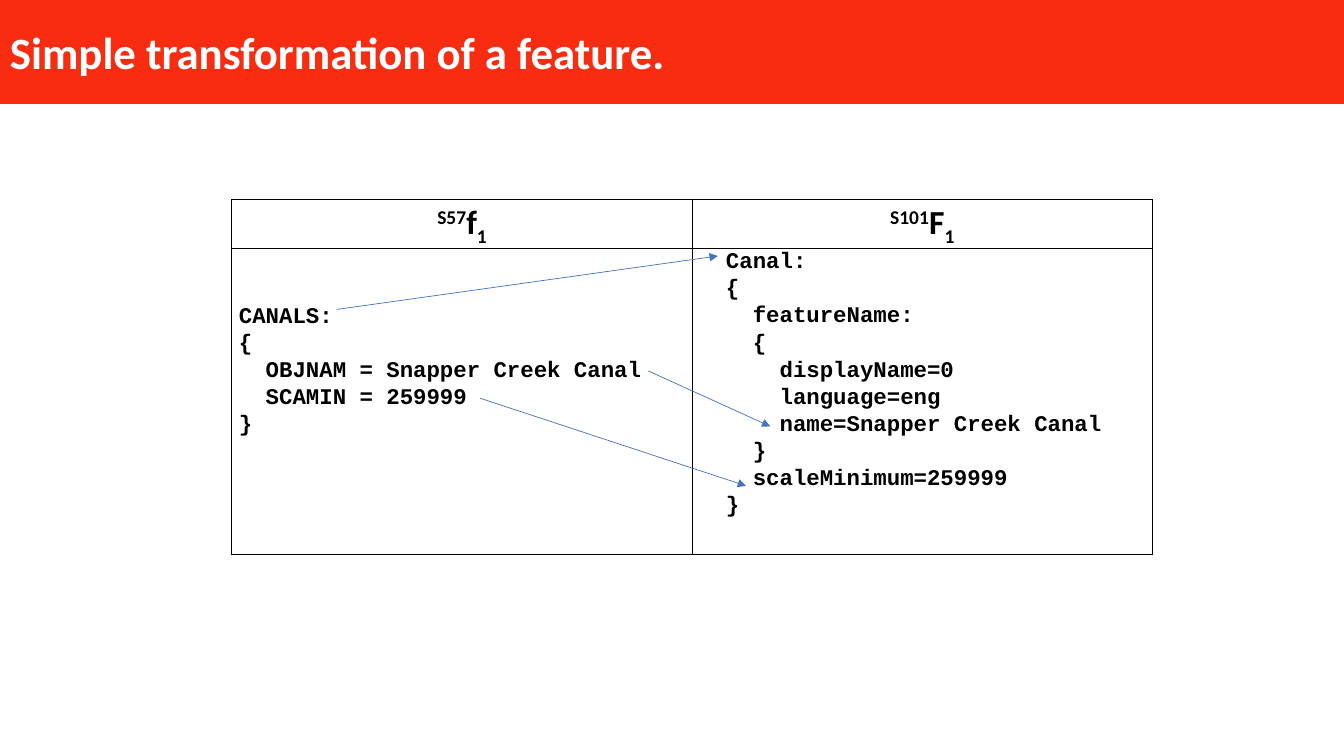
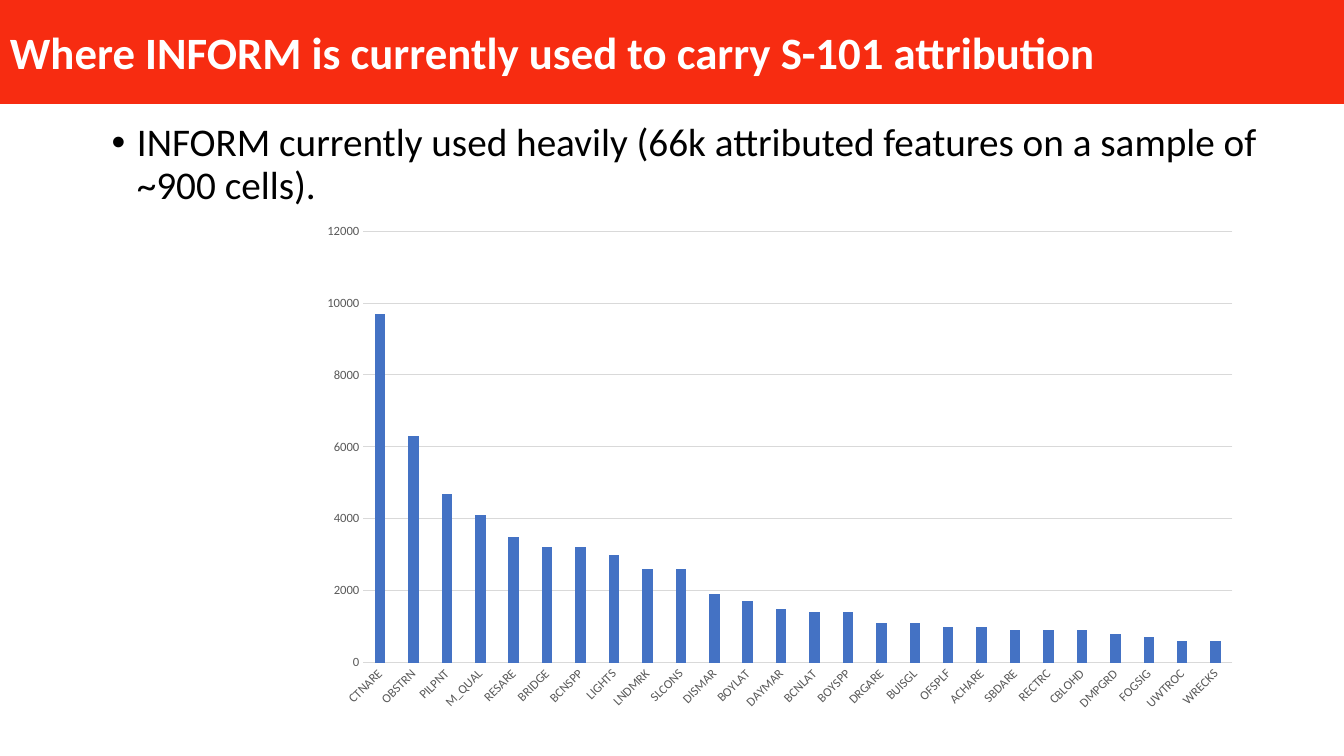
from pptx import Presentation
from pptx.chart.data import CategoryChartData
from pptx.dml.color import RGBColor
from pptx.enum.chart import XL_CHART_TYPE as ChartType, XL_TICK_MARK as TickMark
from pptx.enum.shapes import MSO_CONNECTOR as Connector, MSO_SHAPE as Shape
from pptx.enum.text import MSO_ANCHOR as Anchor, PP_ALIGN as Align
from pptx.oxml.ns import qn
from pptx.util import Inches, Pt
from lxml.etree import SubElement

RED, WHITE, BLACK = "F72C11", "FFFFFF", "000000"
BLUE, GREY, GRID = "4472C4", "595959", "D9D9D9"
BODY_FONT, CODE_FONT = "Calibri", "Courier New"
SLIDE_WIDTH, SLIDE_HEIGHT, BAND_HEIGHT = 13.33, 7.5, 1.02
CODE_LINE = 0.27

S57_CODE = """CANALS:
{
  OBJNAM = Snapper Creek Canal
  SCAMIN = 259999
}"""
S101_CODE = """  Canal:
  {
    featureName:
    {
      displayName=0
      language=eng
      name=Snapper Creek Canal
    }
    scaleMinimum=259999
  }"""
MAPPINGS = [
    ((1.04, 1.09), (4.82, 0.56)),
    ((4.13, 1.7), (5.34, 2.25)),
    ((2.46, 1.97), (5.1, 2.84)),
]
INFORM_COUNTS = {
    "CTNARE": 9700, "OBSTRN": 6300, "PILPNT": 4700, "M_QUAL": 4100,
    "RESARE": 3500, "BRIDGE": 3200, "BCNSPP": 3200, "LIGHTS": 3000,
    "LNDMRK": 2600, "SLCONS": 2600, "DISMAR": 1900, "BOYLAT": 1700,
    "DAYMAR": 1500, "BCNLAT": 1400, "BOYSPP": 1400, "DRGARE": 1100,
    "BUISGL": 1100, "OFSPLF": 1000, "ACHARE": 1000, "SBDARE": 900,
    "RECTRC": 900, "CBLOHD": 900, "DMPGRD": 800, "FOGSIG": 700,
    "UWTROC": 600, "WRECKS": 600,
}


def rgb(color):
    return RGBColor.from_string(color)


def style_font(font, size, color=BLACK, bold=False, name=BODY_FONT):
    font.name, font.size, font.bold = name, Pt(size), bold
    font.color.rgb = rgb(color)


def style_line(line, color, width):
    line.color.rgb = rgb(color)
    line.width = Pt(width)


def add_titled_slide(prs, title):
    slide = prs.slides.add_slide(prs.slide_layouts[6])
    band = slide.shapes.add_shape(Shape.FLOWCHART_PROCESS, 0, 0,
                                  Inches(SLIDE_WIDTH), Inches(BAND_HEIGHT))
    band.shadow.inherit = False
    band.fill.solid()
    band.fill.fore_color.rgb = rgb(RED)
    style_line(band.line, RED, 1)
    frame = band.text_frame
    frame.word_wrap = True
    frame.vertical_anchor = Anchor.MIDDLE
    frame.text = title
    heading = frame.paragraphs[0]
    heading.alignment = Align.LEFT
    style_font(heading.runs[0].font, 32, WHITE, True)
    return slide


def prepare_cell(cell, top=0):
    cell.margin_left = cell.margin_right = Inches(0.07)
    cell.margin_top, cell.margin_bottom = Inches(top), 0
    properties = cell._tc.get_or_add_tcPr()
    for side in ("a:lnL", "a:lnR", "a:lnT", "a:lnB"):
        border = SubElement(properties, qn(side), w=str(Pt(1)))
        fill = SubElement(border, qn("a:solidFill"))
        SubElement(fill, qn("a:srgbClr"), val=BLACK)
    cell.fill.background()


def write_symbol(cell, standard, letter):
    prepare_cell(cell)
    symbol = cell.text_frame.paragraphs[0]
    symbol.alignment = Align.CENTER
    symbol.line_spacing = 1.07
    for text, baseline in ((standard, 30000), (letter, 0), ("1", -25000)):
        run = symbol.add_run()
        run.text = text
        style_font(run.font, 24, bold=True)
        run.font._element.set("baseline", str(baseline))


def write_code(cell, code, skipped_lines=0):
    prepare_cell(cell, skipped_lines * CODE_LINE)
    cell.text_frame.text = code
    for line in cell.text_frame.paragraphs:
        line.line_spacing = 1.07
        style_font(line.runs[0].font, 16, bold=True, name=CODE_FONT)


def add_arrow(slide, start, end):
    arrow = slide.shapes.add_connector(
        Connector.STRAIGHT, *(Inches(value) for value in (*start, *end)))
    style_line(arrow.line, BLUE, 0.5)
    SubElement(arrow.line._get_or_add_ln(), qn("a:tailEnd"), type="triangle")
    SubElement(arrow._element.spPr, qn("a:effectLst"))


def add_feature_mapping(slide, left, top, width, height):
    header_height = 0.48
    table = slide.shapes.add_table(2, 2, Inches(left), Inches(top),
                                   Inches(width), Inches(height)).table
    table.first_row = table.horz_banding = False
    for column in table.columns:
        column.width = Inches(width / 2)
    table.rows[0].height = Inches(header_height)
    table.rows[1].height = Inches(height - header_height)
    write_symbol(table.cell(0, 0), "S57", "f")
    write_symbol(table.cell(0, 1), "S101", "F")
    write_code(table.cell(1, 0), S57_CODE, skipped_lines=2)
    write_code(table.cell(1, 1), S101_CODE)
    for ends in MAPPINGS:
        add_arrow(slide, *((left + x, top + y) for x, y in ends))


def add_bullet(slide, text, left, top, width, height):
    box = slide.shapes.add_textbox(Inches(left), Inches(top),
                                   Inches(width), Inches(height))
    frame = box.text_frame
    frame.word_wrap = True
    frame.text = text
    point = frame.paragraphs[0]
    point.line_spacing = 0.9
    properties = point._p.get_or_add_pPr()
    properties.set("marL", str(Inches(0.25)))
    properties.set("indent", str(Inches(-0.25)))
    SubElement(properties, qn("a:buFont"), typeface="Arial")
    SubElement(properties, qn("a:buChar"), char="•")
    style_font(point.runs[0].font, 28)


def add_usage_chart(slide, left, top, width, height):
    data = CategoryChartData()
    data.categories = list(INFORM_COUNTS)
    data.add_series("Series 1", list(INFORM_COUNTS.values()))
    chart = slide.shapes.add_chart(
        ChartType.COLUMN_CLUSTERED, Inches(left), Inches(top),
        Inches(width), Inches(height), data).chart
    style_font(chart.font, 10)
    chart.has_title = chart.has_legend = False

    columns = chart.plots[0]
    columns.vary_by_categories = False
    columns.gap_width, columns.overlap = 219, -27
    bars = columns.series[0].format.fill
    bars.solid()
    bars.fore_color.rgb = rgb(BLUE)

    features, counts = chart.category_axis, chart.value_axis
    for axis in (features, counts):
        axis.major_tick_mark = axis.minor_tick_mark = TickMark.NONE
        style_font(axis.tick_labels.font, 9, GREY)
    style_line(features.format.line, GRID, 0.75)
    features._element.find(qn("c:txPr")).find(qn("a:bodyPr")).set("rot", "-2700000")
    counts.minimum_scale, counts.maximum_scale, counts.major_unit = 0, 12000, 2000
    counts.format.line.fill.background()
    style_line(counts.major_gridlines.format.line, GRID, 0.75)


def main():
    prs = Presentation()
    prs.slide_width, prs.slide_height = Inches(SLIDE_WIDTH), Inches(SLIDE_HEIGHT)

    transformation = add_titled_slide(prs, "Simple transformation of a feature.")
    add_feature_mapping(transformation, 2.3, 1.98, 9.13, 3.52)

    usage = add_titled_slide(
        prs, "Where INFORM is currently used to carry S-101 attribution")
    add_bullet(usage, "INFORM currently used heavily (66k attributed features "
               "on a sample of ~900 cells).", 1.01, 1.17, 12.1, 0.95)
    add_usage_chart(usage, 3.06, 2.12, 9.35, 5.03)

    prs.save("out.pptx")


if __name__ == "__main__":
    main()
